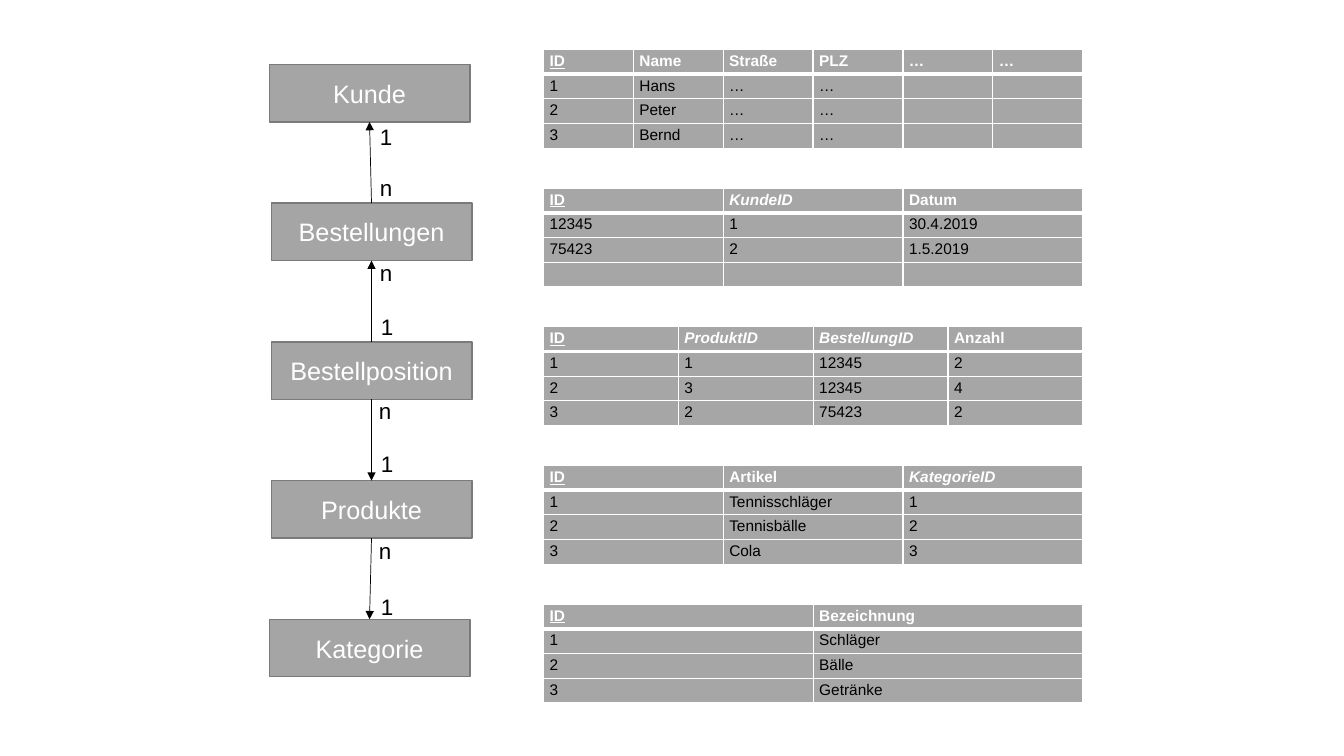
import pptx
import pptx.dml.color
import pptx.enum.shapes
import pptx.enum.text
import pptx.oxml
import pptx.oxml.ns
import pptx.util
from pptx.util import Inches

FONT = "Arial"
PITCH = 1.376

ENTITIES = [
    ("Kunde", 2.67, [["ID", "Name", "Straße", "PLZ", "…", "…"],
                     ["1", "Hans", "…", "…", "", ""],
                     ["2", "Peter", "…", "…", "", ""],
                     ["3", "Bernd", "…", "…", "", ""]]),
    ("Bestellungen", 2.69, [["ID", "KundeID", "Datum"],
                            ["12345", "1", "30.4.2019"],
                            ["75423", "2", "1.5.2019"],
                            ["", "", ""]]),
    ("Bestellposition", 2.69, [["ID", "ProduktID", "BestellungID", "Anzahl"],
                               ["1", "1", "12345", "2"],
                               ["2", "3", "12345", "4"],
                               ["3", "2", "75423", "2"]]),
    ("Produkte", 2.69, [["ID", "Artikel", "KategorieID"],
                        ["1", "Tennisschläger", "1"],
                        ["2", "Tennisbälle", "2"],
                        ["3", "Cola", "3"]]),
    ("Kategorie", 2.67, [["ID", "Bezeichnung"],
                         ["1", "Schläger"],
                         ["2", "Bälle"],
                         ["3", "Getränke"]]),
]

RELATIONS = [
    ("up", ("1", 3.67, 1.17), ("n", 3.67, 1.68)),
    ("up", ("n", 3.67, 2.52), ("1", 3.68, 3.06)),
    ("down", ("n", 3.66, 3.89), ("1", 3.68, 4.42)),
    ("down", ("n", 3.66, 5.28), ("1", 3.68, 5.84)),
]


def color(value):
    """Turn a hex string into a colour."""
    return pptx.dml.color.RGBColor.from_string(value)


def element(xml):
    """Parse a drawing element given without its namespace."""
    tag, rest = xml[1:].split(" ", 1)
    return pptx.oxml.parse_xml(f"<{tag} {pptx.oxml.ns.nsdecls('a')} {rest}")


def style(para, size, value):
    """Set the font of a paragraph."""
    para.font.name = FONT
    para.font.size = pptx.util.Pt(size)
    para.font.color.rgb = color(value)


def add_entity(page, name, left, top):
    """Draw one named entity box."""
    box = page.shapes.add_shape(pptx.enum.shapes.MSO_SHAPE.RECTANGLE, Inches(left),
                                Inches(top), Inches(1.99), Inches(0.57))
    box.shadow.inherit = False
    box.fill.solid()
    box.fill.fore_color.rgb = color("A5A5A5")
    box.line.color.rgb = color("7A7A7A")
    box.line.width = pptx.util.Pt(1)
    box.text_frame.text = name
    box.text_frame.vertical_anchor = pptx.enum.text.MSO_ANCHOR.MIDDLE
    para = box.text_frame.paragraphs[0]
    para.alignment = pptx.enum.text.PP_ALIGN.CENTER
    style(para, 18, "FFFFFF")
    return box


def add_relation(page, upper, lower, direction, labels):
    """Join two entity boxes with an arrow and its cardinalities."""
    ends = [(upper, 2), (lower, 0)]
    if direction == "up":
        ends.reverse()
    arrow = page.shapes.add_connector(pptx.enum.shapes.MSO_CONNECTOR.STRAIGHT, 0, 0, 0, 0)
    arrow.begin_connect(*ends[0])
    arrow.end_connect(*ends[1])
    arrow.line.color.rgb = color("000000")
    arrow.line.width = pptx.util.Pt(0.5)
    arrow.line._get_or_add_ln().append(element('<a:tailEnd type="triangle"/>'))
    arrow._element.spPr.append(element("<a:effectLst />"))
    for text, left, top in labels:
        label = page.shapes.add_textbox(Inches(left), Inches(top), Inches(0.22), Inches(0.37))
        label.text_frame.word_wrap = True
        label.text_frame.text = text
        style(label.text_frame.paragraphs[0], 16, "000000")


def style_cell(cell, text, row):
    """Fill one table cell with its text, colours and borders."""
    header = row == 0
    cell.margin_left = cell.margin_right = Inches(0.06)
    cell.margin_top = cell.margin_bottom = Inches(0.03)
    cell.fill.solid()
    cell.fill.fore_color.rgb = color("A6A6A6")
    cell.text = text
    para = cell.text_frame.paragraphs[0]
    style(para, 11, "FFFFFF" if header else "000000")
    para.font.bold = header
    para.font.underline = header and text == "ID"
    para.font.italic = header and text != "ID" and text.endswith("ID")
    if not text:
        para._p.append(element('<a:endParaRPr sz="1100"/>'))
    widths = {"lnL": 1, "lnR": 1, "lnT": 3 if row == 1 else 1, "lnB": 3 if header else 1}
    for index, (side, width) in enumerate(widths.items()):
        border = element(f'<a:{side} w="{pptx.util.Pt(width)}"><a:solidFill>'
                         f'<a:srgbClr val="FFFFFF"/></a:solidFill></a:{side}>')
        cell._tc.get_or_add_tcPr().insert(index, border)


def add_records(page, records, left, top, width, height):
    """Draw the sample table of one entity."""
    rows, columns = len(records), len(records[0])
    table = page.shapes.add_table(rows, columns, Inches(left), Inches(top),
                                  Inches(width), Inches(height)).table
    table.horz_banding = False
    for column in table.columns:
        column.width = Inches(width / columns)
    for row, record in enumerate(records):
        table.rows[row].height = Inches(height / rows)
        for column, text in enumerate(record):
            style_cell(table.cell(row, column), text, row)


def main():
    """Build the slide and save it."""
    deck = pptx.Presentation()
    deck.slide_width, deck.slide_height = Inches(13.33), Inches(7.5)
    page = deck.slides.add_slide(deck.slide_layouts[6])
    boxes = []
    for index, (name, left, records) in enumerate(ENTITIES):
        boxes.append(add_entity(page, name, left, 0.64 + PITCH * index))
        add_records(page, records, 5.39, 0.49 + PITCH * index, 5.35, 0.98)
    for upper, lower, (direction, *labels) in zip(boxes, boxes[1:], RELATIONS):
        add_relation(page, upper, lower, direction, labels)
    deck.save("out.pptx")


if __name__ == "__main__":
    main()
